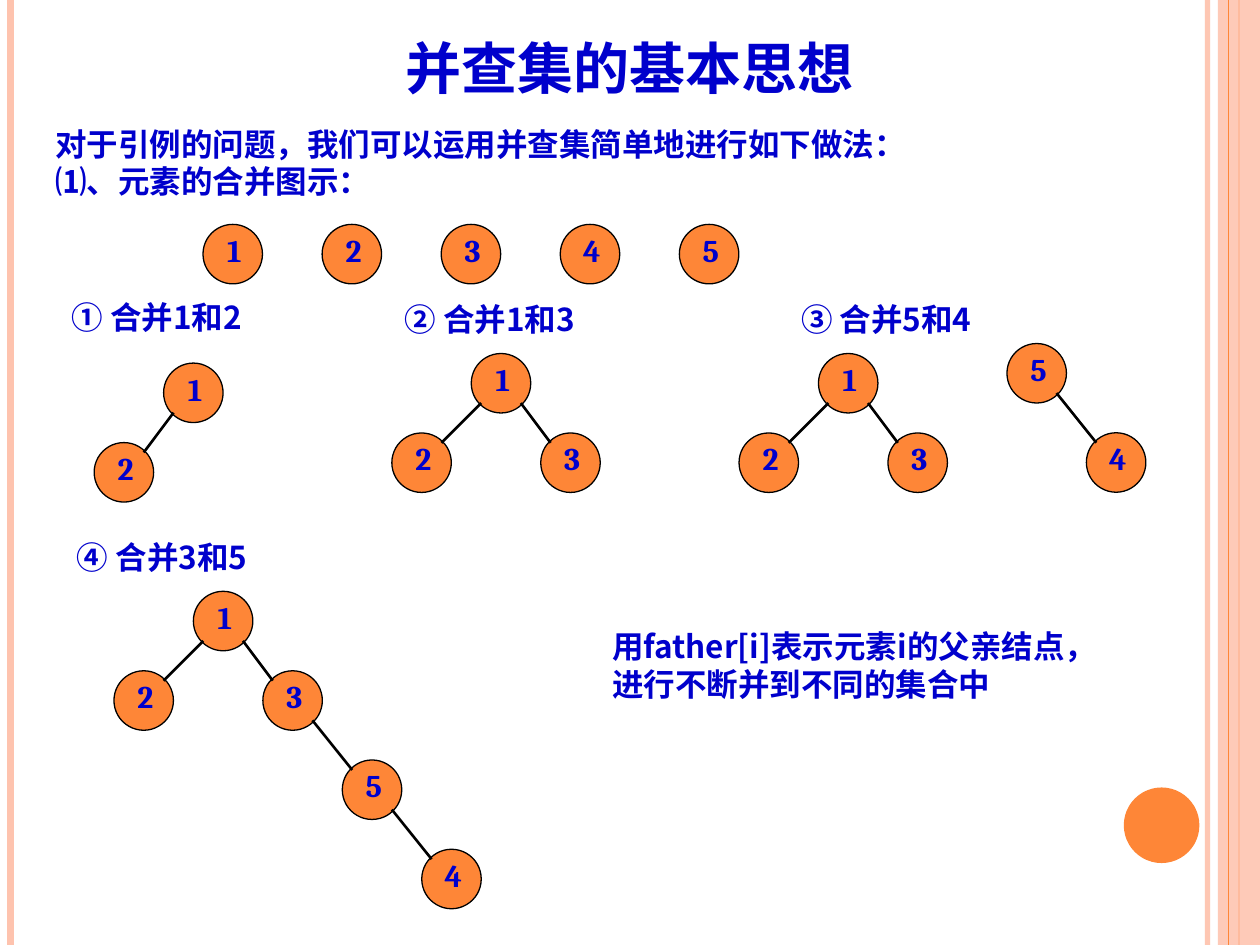
"""Build a slide that shows the merging steps of a disjoint-set forest."""
from lxml import etree
from pptx import Presentation
from pptx.dml.color import RGBColor
from pptx.enum.shapes import MSO_CONNECTOR, MSO_SHAPE
from pptx.enum.text import MSO_ANCHOR, PP_ALIGN
from pptx.oxml.ns import qn
from pptx.util import Pt

STRAIGHT = MSO_CONNECTOR.STRAIGHT
OVAL, RECTANGLE = MSO_SHAPE.OVAL, MSO_SHAPE.RECTANGLE
TOP, MIDDLE, BOTTOM = MSO_ANCHOR.TOP, MSO_ANCHOR.MIDDLE, MSO_ANCHOR.BOTTOM
LEFT, CENTER = PP_ALIGN.LEFT, PP_ALIGN.CENTER

THEME = {
    "orange": "FE8637", "peach": "FEC3AE", "black": "000000", "blue": "0000CC",
    "serif": "Cambria", "sans": "Noto Sans CJK SC",
    "title": 32, "body": 18, "outline": 0.75, "edge": 1.5,
}
WIDTH, HEIGHT = 720, 540
NODE = 34
JOINT = 5.67

TITLE = ("并查集的基本思想", (36, 15.1, 648, 46.1))
TEXTS = [
    (["对于引例的问题，我们可以运用并查集简单地进行如下做法：", "⑴、元素的合并图示："],
     (24.5, 67.7, 669.6, 50.4)),
    (["① 合并1和2"], (33.8, 167, 150, 28.8)),
    (["② 合并1和3"], (224.2, 168, 150, 28.8)),
    (["③ 合并5和4"], (450.7, 168, 150, 28.8)),
    (["④ 合并3和5"], (36.9, 303.8, 150, 28.8)),
    (["用father[i]表示元素i的父亲结点，进行不断并到不同的集合中"],
     (342.7, 355, 304.6, 50.4)),
]

ELEMENTS = ["1", "2", "3", "4", "5"]
ROW_LEFT, ROW_TOP, ROW_STEP = 116, 128.2, 68.05

NEAR_LEFT, FAR_LEFT = (-39.7, 45.4), (-45.4, 45.4)
NEAR_RIGHT, FAR_RIGHT = (39.7, 45.4), (45.4, 51)
FORK = [("1", "2", FAR_LEFT), ("1", "3", NEAR_RIGHT)]
CHAIN = [("5", "4", FAR_RIGHT)]
TREES = [
    ("1", (93.5, 207.5), [("1", "2", NEAR_LEFT)]),
    ("1", (269.3, 202), FORK),
    ("1", (467.7, 202), FORK),
    ("5", (575.4, 196.3), CHAIN),
    ("1", (110.5, 337.9), FORK + [("3", "5", FAR_RIGHT)] + CHAIN),
]

RULES = [
    (690, "peach", 3, 93),
    (6, "peach", 4.5, 100),
    (708, "orange", 1.5, 100),
    (702, "orange", 0.75, 100),
]
BAND = (696, 0, 24, HEIGHT)
DOT = (642.2, 450, 43.2, 43.2)


def color(name):
    return RGBColor.from_string(THEME[name])


def set_alpha(element, percent):
    if percent < 100:
        rgb = next(element.iter(qn("a:srgbClr")))
        etree.SubElement(rgb, qn("a:alpha"), val=str(percent * 1000))


def add_line(page, start, end, tint, weight, alpha=100):
    line = page.shapes.add_connector(STRAIGHT, *map(Pt, (*start, *end)))
    line.line.color.rgb = color(tint)
    line.line.width = Pt(weight)
    properties = line.line._get_or_add_ln().getparent()
    set_alpha(properties, alpha)
    etree.SubElement(properties, qn("a:effectLst"))


def add_filled(page, kind, place, tint, alpha=100):
    shape = page.shapes.add_shape(kind, *map(Pt, place))
    shape.shadow.inherit = False
    shape.fill.solid()
    shape.fill.fore_color.rgb = color(tint)
    set_alpha(shape.fill._xPr, alpha)
    shape.line.fill.background()
    return shape


def write(frame, lines, face, size, align=LEFT, **frame_format):
    for name, value in frame_format.items():
        setattr(frame, name, value)
    for index, line in enumerate(lines):
        para = frame.add_paragraph() if index else frame.paragraphs[0]
        para.alignment = align
        span = para.add_run()
        span.text = line
        font_format = {"name": THEME[face], "size": Pt(THEME[size]), "bold": True}
        for name, value in font_format.items():
            setattr(span.font, name, value)
        span.font.color.rgb = color("blue")
        latin = span.font._element.find(qn("a:latin"))
        latin.addnext(latin.makeelement(qn("a:ea"), typeface=THEME["sans"]))


def add_text(page, lines, place, face="sans", size="body", align=LEFT, anchor=TOP):
    box = page.shapes.add_textbox(*map(Pt, place))
    write(box.text_frame, lines, face, size, align,
          word_wrap=True, vertical_anchor=anchor)


def add_node(page, label, left, top):
    node = add_filled(page, OVAL, (left, top, NODE, NODE), "orange")
    node.line.color.rgb = color("black")
    node.line.width = Pt(THEME["outline"])
    write(node.text_frame, [label], "serif", "body", CENTER,
          word_wrap=False, vertical_anchor=MIDDLE, margin_left=Pt(2),
          margin_right=0, margin_top=0, margin_bottom=Pt(5))


def add_tree(page, root, origin, branches):
    corners = {root: origin}
    for parent, child, (across, down) in branches:
        left, top = corners[parent]
        corners[child] = (left + across, top + down)
    for label, (left, top) in corners.items():
        add_node(page, label, left, top)
    near, far = JOINT, NODE - JOINT
    for parent, child, (across, _) in branches:
        leave, arrive = (near, far) if across < 0 else (far, near)
        start = (corners[parent][0] + leave, corners[parent][1] + far)
        end = (corners[child][0] + arrive, corners[child][1] + near)
        add_line(page, start, end, "black", THEME["edge"])


def add_frame(page):
    for index, (x, tint, weight, alpha) in enumerate(RULES):
        if index == len(RULES) - 1:
            add_filled(page, RECTANGLE, BAND, "peach", 87)
        add_line(page, (x, 0), (x, HEIGHT), tint, weight, alpha)
    add_filled(page, OVAL, DOT, "orange")


def main():
    deck = Presentation()
    deck.slide_width, deck.slide_height = Pt(WIDTH), Pt(HEIGHT)
    page = deck.slides.add_slide(deck.slide_layouts[6])
    add_frame(page)
    heading, place = TITLE
    add_text(page, [heading], place, "serif", "title", CENTER, BOTTOM)
    for lines, place in TEXTS:
        add_text(page, lines, place)
    for index, label in enumerate(ELEMENTS):
        add_node(page, label, ROW_LEFT + index * ROW_STEP, ROW_TOP)
    for tree in TREES:
        add_tree(page, *tree)
    deck.save("out.pptx")


if __name__ == "__main__":
    main()
